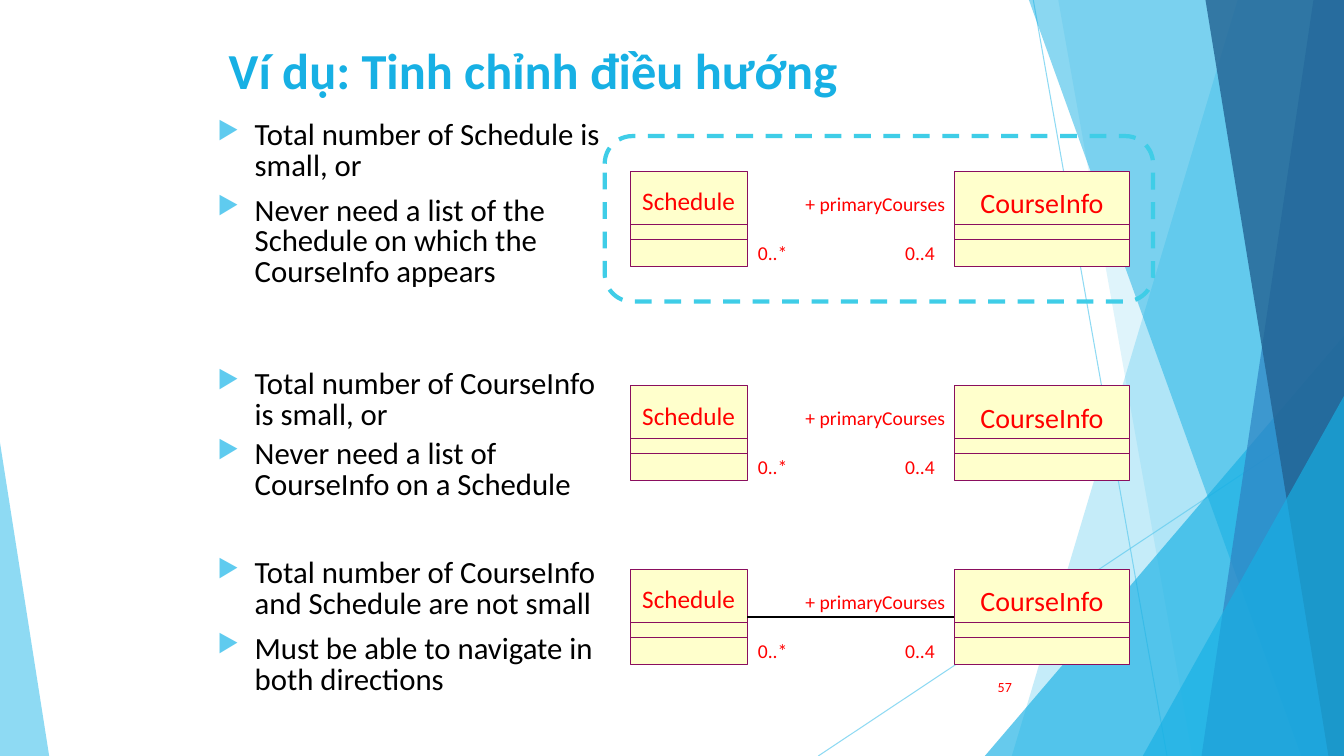
from lxml import etree
from pptx import Presentation
from pptx import util as u
from pptx.dml.color import RGBColor
from pptx.enum import dml, shapes, text
from pptx.oxml import ns

Cm, Pt = u.Cm, u.Pt
SLIDE_W, SLIDE_H = 33.87, 19.05
FONT = "Calibri"
BLUE, SKY, RED, PLUM, CREAM = "17B0E4", "5FCBEF", "FF0000", "8A0E5E", "FFFFCC"

# Left edge of each band that reaches the right side: top x, bottom x, colour, opacity
BANDS = [
    (31.19, 25.5, SKY, 36),
    (26.67, 30.05, SKY, 20),
    (25.93, 32.79, BLUE, 50),
    (33.1, 30.28, "2E83C3", 70),
    (30.38, 33.48, "226292", 80),
]

# Bullet text and the space before it in points
BULLETS = [
    ("Total number of Schedule is small, or", 0),
    ("Never need a list of the Schedule on which the CourseInfo appears", 10),
    ("Total number of CourseInfo is small, or", 58),
    ("Never need a list of CourseInfo on a Schedule", 6),
    ("Total number of CourseInfo and Schedule are not small", 41),
    ("Must be able to navigate in both directions", 10),
]

DIAGRAM_TOPS = [4.32, 9.72, 14.35]
CLASS_H = 2.39
COMPARTMENTS = [1.33, 1.71]


def color(hex_code):
    return RGBColor.from_string(hex_code)


def add_tag(parent, name, **attributes):
    return etree.SubElement(parent, ns.qn(name), attributes)


def set_opacity(shape, percent):
    for tint in shape.element.spPr.iter(ns.qn("a:srgbClr")):
        add_tag(tint, "a:alpha", val=str(percent * 1000))


def style_shape(shape, fill=None, line=None, width=0.75):
    shape.shadow.inherit = False
    if fill:
        shape.fill.solid()
        shape.fill.fore_color.rgb = color(fill)
    else:
        shape.fill.background()
    if line:
        shape.line.color.rgb = color(line)
        shape.line.width = Pt(width)
    else:
        shape.line.fill.background()


def add_line(page, start, end, line, width=0.75):
    points = [Cm(value) for value in (*start, *end)]
    connector = page.shapes.add_connector(shapes.MSO_CONNECTOR.STRAIGHT, *points)
    connector.line.color.rgb = color(line)
    connector.line.width = Pt(width)
    add_tag(connector.element.spPr, "a:effectLst")
    return connector


def add_preset(page, kind, left, top, width, height):
    return page.shapes.add_shape(kind, Cm(left), Cm(top), Cm(width), Cm(height))


def add_triangle(page, left, top, width, apex, fill, opacity):
    triangle = add_preset(page, shapes.MSO_SHAPE.ISOSCELES_TRIANGLE,
                          left, top, width, SLIDE_H - top)
    triangle.adjustments[0] = apex
    style_shape(triangle, fill)
    set_opacity(triangle, opacity)


def add_band(page, top_x, bottom_x, fill, opacity):
    builder = page.shapes.build_freeform(Cm(top_x), 0, scale=1.0)
    corners = [(SLIDE_W, 0), (SLIDE_W, SLIDE_H), (bottom_x, SLIDE_H)]
    builder.add_line_segments([(Cm(x), Cm(y)) for x, y in corners], close=True)
    band = builder.convert_to_shape()
    style_shape(band, fill)
    set_opacity(band, opacity)


def format_text(frame, size, hex_code, bold=False):
    for para in frame.paragraphs:
        for span in para.runs:
            span.font.name = FONT
            span.font.size = Pt(size)
            span.font.bold = bold
            span.font.color.rgb = color(hex_code)


def add_label(page, words, left, top, width, height, size,
              align=text.PP_ALIGN.LEFT, tight=True):
    box = page.shapes.add_textbox(Cm(left), Cm(top), Cm(width), Cm(height))
    frame = box.text_frame
    frame.text = words
    frame.word_wrap = not tight
    if tight:
        frame.margin_left = frame.margin_right = 0
        frame.margin_top = frame.margin_bottom = 0
    frame.paragraphs[0].alignment = align
    format_text(frame, size, RED)
    return box


def add_background(page):
    add_line(page, (26.04, 0), (29.41, SLIDE_H), SKY)
    add_line(page, (SLIDE_W, 10.24), (20.62, SLIDE_H), SKY)
    for connector in page.shapes:
        if connector.shape_type == shapes.MSO_SHAPE_TYPE.LINE:
            set_opacity(connector, 70)
    for band in BANDS[:2]:
        add_band(page, *band)
    add_triangle(page, 24.82, 8.46, 9.05, 1, BLUE, 66)
    for band in BANDS[2:]:
        add_band(page, *band)
    add_triangle(page, 28.8, 9.98, 5.07, 1, BLUE, 66)
    add_triangle(page, 0, 11.15, 1.24, 0, SKY, 70)


def add_title(page, words):
    title = page.shapes.title
    title.left, title.top = Cm(5.51), Cm(0.76)
    title.width, title.height = Cm(22.86), Cm(1.96)
    frame = title.text_frame
    frame.text = words
    frame.vertical_anchor = text.MSO_ANCHOR.MIDDLE
    frame.paragraphs[0].alignment = text.PP_ALIGN.LEFT
    format_text(frame, 36, BLUE, bold=True)


def add_bullets(page):
    box = page.shapes.add_textbox(Cm(5.23), Cm(2.92), Cm(10.36), Cm(15.44))
    frame = box.text_frame
    frame.word_wrap = True
    frame.text = "\n".join(words for words, _ in BULLETS)
    for para, (_, gap) in zip(frame.paragraphs, BULLETS):
        properties = para._p.get_or_add_pPr()
        properties.set("marL", str(Cm(0.94)))
        properties.set("indent", str(-Cm(0.94)))
        add_tag(add_tag(properties, "a:buClr"), "a:srgbClr", val=SKY)
        add_tag(properties, "a:buSzPct", val="80000")
        add_tag(properties, "a:buChar", char="▶")
        para.line_spacing = Pt(22)
        para.space_before = Pt(gap)
    format_text(frame, 22, "000000")


def add_class(page, name, left, top, width, size):
    box = add_preset(page, shapes.MSO_SHAPE.RECTANGLE, left, top, width, CLASS_H)
    style_shape(box, CREAM, PLUM)
    for offset in COMPARTMENTS:
        add_line(page, (left, top + offset), (left + width, top + offset), PLUM)
    add_label(page, name, left, top + 0.36, width, 0.8, size, text.PP_ALIGN.CENTER)
    return box


def add_diagram(page, top):
    course = add_class(page, "CourseInfo", 24.05, top, 4.42, 20)
    add_label(page, "0..4", 22.81, top + 1.75, 0.76, 0.61, 14)
    add_label(page, "0..*", 19.1, top + 1.75, 0.76, 0.61, 14)
    add_label(page, "+ primaryCourses", 19.35, top + 0.38, 4.72, 0.86, 14,
              text.PP_ALIGN.RIGHT, tight=False)
    schedule = add_class(page, "Schedule", 15.88, top, 2.95, 18)
    return schedule, course


def main():
    deck = Presentation()
    deck.slide_width, deck.slide_height = Cm(SLIDE_W), Cm(SLIDE_H)
    page = deck.slides.add_slide(deck.slide_layouts[5])

    # Background and text
    add_background(page)
    add_title(page, "Ví dụ: Tinh chỉnh điều hướng")
    add_bullets(page)
    number = add_label(page, "57", 23.85, 16.79, 1.9, 1.02, 10,
                       text.PP_ALIGN.RIGHT, tight=False)
    number.text_frame.vertical_anchor = text.MSO_ANCHOR.MIDDLE

    # Dashed frame around the first diagram
    frame = add_preset(page, shapes.MSO_SHAPE.ROUNDED_RECTANGLE, 15.24, 3.43, 13.82, 4.17)
    style_shape(frame, line="3FCDE7", width=3)
    frame.line.dash_style = dml.MSO_LINE.DASH

    # Class diagrams, the last with a two-way association
    for top in DIAGRAM_TOPS:
        schedule, course = add_diagram(page, top)
    middle = DIAGRAM_TOPS[-1] + CLASS_H / 2
    association = add_line(page, (18.83, middle), (24.05, middle), "000000", 1)
    association.begin_connect(schedule, 3)
    association.end_connect(course, 1)

    deck.save("out.pptx")


if __name__ == "__main__":
    main()
